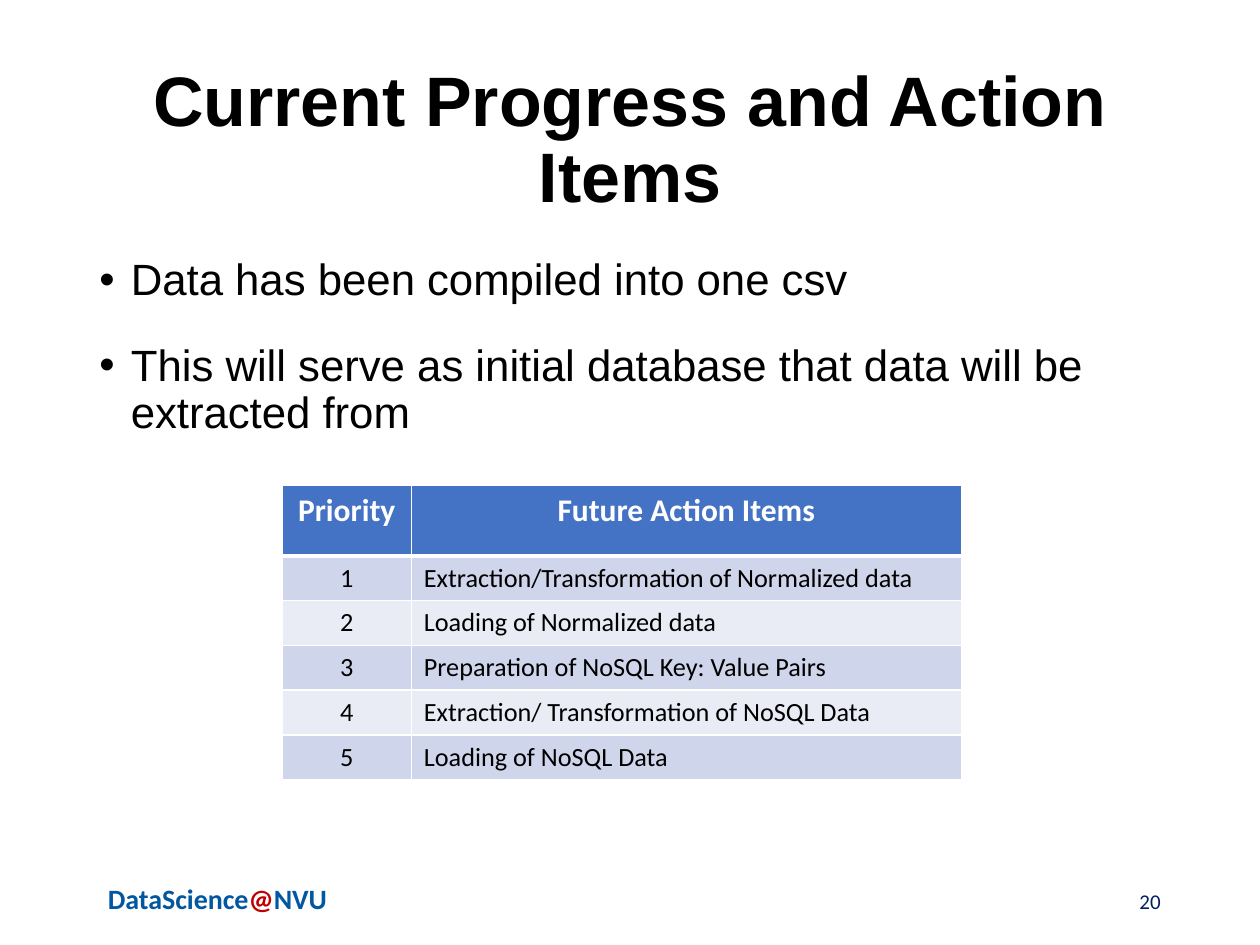
import pptx
import pptx.util
import pptx.dml.color
import pptx.enum.text
import pptx.oxml
import pptx.oxml.ns
from lxml import etree

RGBColor = pptx.dml.color.RGBColor
Inches, Pt = pptx.util.Inches, pptx.util.Pt
ALIGN, ANCHOR = pptx.enum.text.PP_ALIGN, pptx.enum.text.MSO_ANCHOR
qn = pptx.oxml.ns.qn

BLACK = RGBColor(0, 0, 0)
WHITE = RGBColor(0xFF, 0xFF, 0xFF)
BRAND_BLUE = RGBColor(0x02, 0x57, 0xA1)
BRAND_RED = RGBColor(0xC0, 0x00, 0x00)
NAVY = RGBColor(0x00, 0x20, 0x60)
HEADER_BLUE = RGBColor(0x44, 0x72, 0xC4)
BANDS = (RGBColor(0xCF, 0xD5, 0xEA), RGBColor(0xE9, 0xEB, 0xF5))

WIDTH, HEIGHT = 10, 7.5
MARGIN = 0.69
CONTENT_WIDTH = WIDTH - 2 * MARGIN
FOOTER_TOP = 6.95

TITLE_FORMAT = {"name": "Arial", "size": Pt(40), "bold": True}
BODY_FORMAT = {"name": "Arial", "size": Pt(25)}
BRAND_FORMAT = {"name": "Calibri", "size": Pt(16), "bold": True}
NUMBER_FORMAT = {"name": "Calibri", "size": Pt(12)}
HEADER_FORMAT = {"name": "Calibri", "size": Pt(18), "bold": True}
CELL_FORMAT = {"name": "Calibri", "size": Pt(15), "bold": False}

BULLETS = (
    "Data has been compiled into one csv",
    "This will serve as initial database that data will be extracted from",
)
HEADINGS = ("Priority", "Future Action Items")
ACTION_ITEMS = (
    "Extraction/Transformation of Normalized data",
    "Loading of Normalized data",
    "Preparation of NoSQL Key: Value Pairs",
    "Extraction/ Transformation of NoSQL Data",
    "Loading of NoSQL Data",
)


def set_attributes(target, values):
    for name, value in values.items():
        setattr(target, name, value)


def add_run(paragraph, text, font_format, color):
    run = paragraph.add_run()
    run.text = text
    set_attributes(run.font, font_format)
    run.font.color.rgb = color


def add_text_frame(slide, box, anchor=ANCHOR.TOP):
    frame = slide.shapes.add_textbox(*map(Inches, box)).text_frame
    frame.word_wrap = True
    frame.vertical_anchor = anchor
    return frame


def add_title(slide, box, text):
    paragraph = add_text_frame(slide, box, ANCHOR.MIDDLE).paragraphs[0]
    set_attributes(paragraph, {"alignment": ALIGN.CENTER, "line_spacing": 0.9})
    add_run(paragraph, text, TITLE_FORMAT, BLACK)


def add_bullets(slide, box, items):
    frame = add_text_frame(slide, box)
    spacing = {"line_spacing": 0.9, "space_before": Pt(10), "space_after": Pt(12)}
    for index, item in enumerate(items):
        paragraph = frame.add_paragraph() if index else frame.paragraphs[0]
        set_attributes(paragraph, spacing)
        add_run(paragraph, item, BODY_FORMAT, BLACK)
        # Hanging bullet
        properties = paragraph._p.get_or_add_pPr()
        properties.set("marL", str(Inches(0.25)))
        properties.set("indent", str(-Inches(0.25)))
        etree.SubElement(properties, qn("a:buFont")).set("typeface", "Arial")
        etree.SubElement(properties, qn("a:buChar")).set("char", "•")


def set_borders(cell, widths):
    properties = cell._tc.get_or_add_tcPr()
    for index, (side, width) in enumerate(widths.items()):
        line = etree.Element(qn(f"a:ln{side}"), w=str(Pt(width)))
        fill = etree.SubElement(line, qn("a:solidFill"))
        etree.SubElement(fill, qn("a:srgbClr")).set("val", str(WHITE))
        properties.insert(index, line)


def add_action_table(slide, box, column_shares, header_share):
    left, top, width, height = box
    rows = [HEADINGS] + [(str(n), item) for n, item in enumerate(ACTION_ITEMS, 1)]
    table = slide.shapes.add_table(
        len(rows), len(HEADINGS), *map(Inches, box)).table
    for column, share in zip(table.columns, column_shares):
        column.width = Inches(width * share)
    item_share = (1 - header_share) / len(ACTION_ITEMS)
    for row_index, texts in enumerate(rows):
        is_header = row_index == 0
        table.rows[row_index].height = Inches(
            height * (header_share if is_header else item_share))
        for column_index, text in enumerate(texts):
            cell = table.cell(row_index, column_index)
            cell.fill.solid()
            cell.fill.fore_color.rgb = (
                HEADER_BLUE if is_header else BANDS[(row_index - 1) % 2])
            set_borders(cell, {"L": 1, "R": 1, "T": 3 if row_index == 1 else 1,
                               "B": 3 if is_header else 1})
            paragraph = cell.text_frame.paragraphs[0]
            centred = is_header or column_index == 0
            paragraph.alignment = ALIGN.CENTER if centred else ALIGN.LEFT
            add_run(paragraph, text, HEADER_FORMAT if is_header else CELL_FORMAT,
                    WHITE if is_header else BLACK)


def add_footer(slide, box, page_number):
    left, top, width, height = box
    # Programme name on the left
    paragraph = add_text_frame(slide, (left, top, 2.07, height)).paragraphs[0]
    paragraph.alignment = ALIGN.CENTER
    for text, color in (("DataScience", BRAND_BLUE), ("@", BRAND_RED),
                        ("NVU", BRAND_BLUE)):
        add_run(paragraph, text, BRAND_FORMAT, color)
    # Page number on the right
    number_box = (left + width - 2.25, top, 2.25, 0.4)
    paragraph = add_text_frame(slide, number_box, ANCHOR.MIDDLE).paragraphs[0]
    paragraph.alignment = ALIGN.RIGHT
    add_run(paragraph, page_number, NUMBER_FORMAT, NAVY)


def main():
    presentation = pptx.Presentation()
    presentation.slide_width = Inches(WIDTH)
    presentation.slide_height = Inches(HEIGHT)
    slide = presentation.slides.add_slide(presentation.slide_layouts[6])

    add_footer(slide, (MARGIN, FOOTER_TOP, CONTENT_WIDTH, 0.53), "20")
    add_title(slide, (MARGIN, 0.4, CONTENT_WIDTH, 1.45),
              "Current Progress and Action Items")
    add_bullets(slide, (MARGIN, 2, CONTENT_WIDTH, 4.76), BULLETS)
    add_action_table(slide, (2.24, 3.85, 5.39, 2.34), (0.19, 0.81), 0.24)

    presentation.save("out.pptx")


if __name__ == "__main__":
    main()
